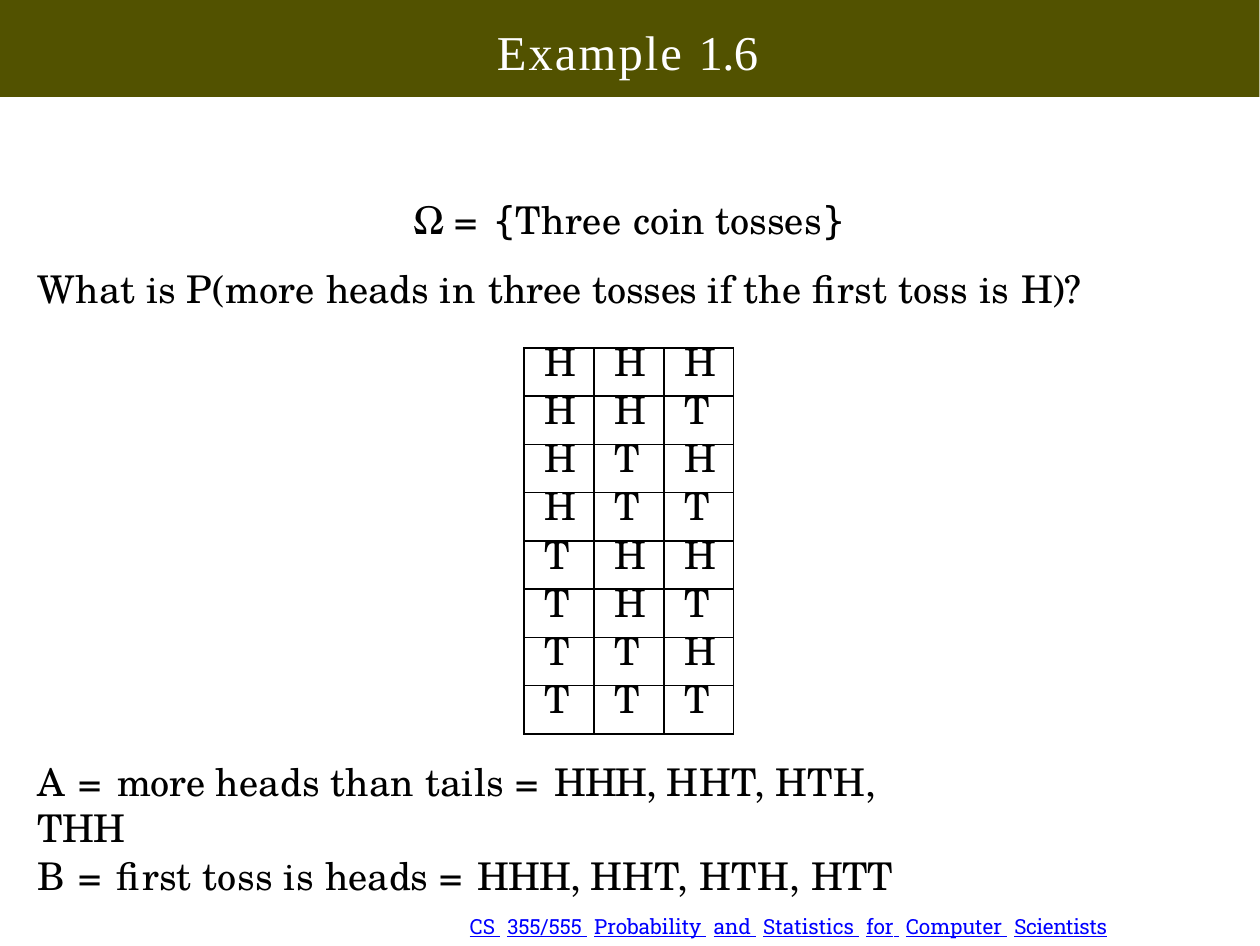
from dataclasses import dataclass
from itertools import product

from lxml.etree import SubElement
from pptx import Presentation
from pptx.dml.color import RGBColor
from pptx.enum.shapes import MSO_SHAPE
from pptx.enum.text import PP_ALIGN
from pptx.oxml import parse_xml
from pptx.oxml.ns import nsdecls, qn
from pptx.slide import Slide
from pptx.table import _Cell
from pptx.text.text import _Paragraph
from pptx.util import Emu, Pt


@dataclass(frozen=True)
class Theme:
    band: RGBColor = RGBColor(0x52, 0x52, 0x00)
    white: RGBColor = RGBColor(0xFF, 0xFF, 0xFF)
    ink: RGBColor = RGBColor(0x00, 0x00, 0x00)
    link: RGBColor = RGBColor(0x00, 0x00, 0xFF)
    title_font: str = "Times New Roman"
    body_font: str = "TeX Gyre Schola"
    brace_font: str = "DejaVu Sans Mono"
    footer_font: str = "Roboto Slab"
    title_size: float = 14
    body_size: float = 11
    footer_size: float = 6
    border: float = 0.5


THEME = Theme()


@dataclass(frozen=True)
class Piece:
    """A stretch of text with its letter spacing in points."""
    text: str
    tracking: float = 0
    font: str | None = None


@dataclass(frozen=True)
class Line:
    pieces: list[Piece]
    indent: int = 3
    before: float = 0
    exact_height: float | None = None
    alignment: PP_ALIGN = PP_ALIGN.LEFT
    font: str = THEME.body_font
    size: float = THEME.body_size
    color: RGBColor = THEME.ink
    underline: bool = False


@dataclass(frozen=True)
class TextBlock:
    left: int
    top: int
    width: int
    height: int
    inset_top: int
    lines: list[Line]


def px(length: int) -> Emu:
    return Emu(round(length * 914400 / 250))


def write_line(paragraph: _Paragraph, line: Line) -> None:
    paragraph.alignment = line.alignment
    paragraph.space_before = Pt(line.before)
    if line.exact_height:
        paragraph.line_spacing = Pt(line.exact_height)
    font = paragraph.font
    font.name, font.size = line.font, Pt(line.size)
    font.color.rgb = line.color
    font.underline = line.underline
    properties = paragraph._p.get_or_add_pPr()
    properties.set("marL", str(px(line.indent)))
    properties.set("indent", "0")
    for piece in line.pieces:
        run = paragraph.add_run()
        run.text = piece.text
        if piece.font:
            run.font.name = piece.font
        if piece.tracking:
            run._r.get_or_add_rPr().set("spc", str(round(piece.tracking * 100)))


def add_text(slide: Slide, block: TextBlock) -> None:
    shape = slide.shapes.add_textbox(
        px(block.left), px(block.top), px(block.width), px(block.height))
    frame = shape.text_frame
    frame.word_wrap = True
    frame.margin_left = frame.margin_right = frame.margin_bottom = 0
    frame.margin_top = px(block.inset_top)
    for index, line in enumerate(block.lines):
        write_line(frame.add_paragraph() if index else frame.paragraphs[0], line)


def add_band(slide: Slide) -> None:
    band = slide.shapes.add_shape(MSO_SHAPE.RECTANGLE, 0, 0, px(1260), px(97))
    band.shadow.inherit = False
    band.fill.solid()
    band.fill.fore_color.rgb = THEME.band
    band.line.fill.background()


def add_borders(cell: _Cell) -> None:
    properties = cell._tc.get_or_add_tcPr()
    for index, side in enumerate("LRTB"):
        border = parse_xml(f'<a:ln{side} {nsdecls("a")} w="{Pt(THEME.border)}"/>')
        fill = SubElement(border, qn("a:solidFill"))
        SubElement(fill, qn("a:srgbClr"), val=str(THEME.ink))
        properties.insert(index, border)


def add_outcomes(slide: Slide) -> None:
    outcomes = list(product("HT", repeat=3))
    table = slide.shapes.add_table(
        len(outcomes), 3, px(524), px(348), px(210), px(386)).table
    table.first_row = table.horz_banding = False
    for row, outcome in enumerate(outcomes):
        for column, face in enumerate(outcome):
            cell = table.cell(row, column)
            cell.margin_left = cell.margin_right = 0
            cell.margin_top = cell.margin_bottom = 0
            cell.fill.background()
            add_borders(cell)
            write_line(cell.text_frame.paragraphs[0],
                       Line([Piece(face)], indent=21, exact_height=11.9))


EQUALS = Piece("= ", 0.65)


def event(name: Piece, meaning: list[Piece], last: str, before: float) -> Line:
    return Line([name, EQUALS, *meaning, EQUALS, Piece("HHH, ", -0.3),
                 Piece("HHT, HTH, ", 0.05), Piece(last, -0.2)], before=before)


def spaced_words(text: str) -> list[Piece]:
    """Follow every word with a widely tracked space."""
    return [piece for word in text.split() for piece in (Piece(word), Piece(" ", 2))]


TITLE = TextBlock(237, 17, 785, 67, 5, [
    Line([Piece("Example ", 0.6), Piece("1.6", -0.2)], indent=260, before=1.4,
         font=THEME.title_font, size=THEME.title_size, color=THEME.white)])

QUESTION = TextBlock(35, 169, 1120, 145, 27, [
    Line([Piece("Ω "), EQUALS, Piece("{", font=THEME.brace_font),
          Piece("Three ", 0.1), Piece("coin tosses"),
          Piece("}", -0.1, THEME.brace_font)],
         indent=70, before=7.8, alignment=PP_ALIGN.CENTER),
    Line([Piece("What is P(more ", 0.03), Piece("heads ", -0.05), Piece("in ", 0.3),
          Piece("three "), Piece("tosses ", -0.1),
          Piece("if the first toss is ", 0.06), Piece("H)?", -0.2)], before=6.8)])

EVENTS = TextBlock(35, 756, 910, 100, 3, [
    event(Piece("A ", 0.4), [Piece("more ", -0.1), Piece("heads ", 0.05),
                             Piece("than tails ", 0.05)], "THH", 0.9),
    event(Piece("B ", 0.35), [Piece("first toss is ", 0.05), Piece("heads ")],
          "HTT", 0.5)])

FOOTER = TextBlock(467, 916, 702, 28, 0, [
    Line([*spaced_words("CS 355/555 Probability and Statistics for Computer"),
          Piece("Scientists", -0.1)],
         exact_height=6.7, font=THEME.footer_font, size=THEME.footer_size,
         color=THEME.link, underline=True)])


def main() -> None:
    presentation = Presentation()
    presentation.slide_width, presentation.slide_height = Pt(363), Pt(272.5)
    slide = presentation.slides.add_slide(presentation.slide_layouts[6])
    add_band(slide)
    add_text(slide, TITLE)
    add_text(slide, QUESTION)
    add_outcomes(slide)
    add_text(slide, EVENTS)
    add_text(slide, FOOTER)
    presentation.save("out.pptx")


if __name__ == "__main__":
    main()
